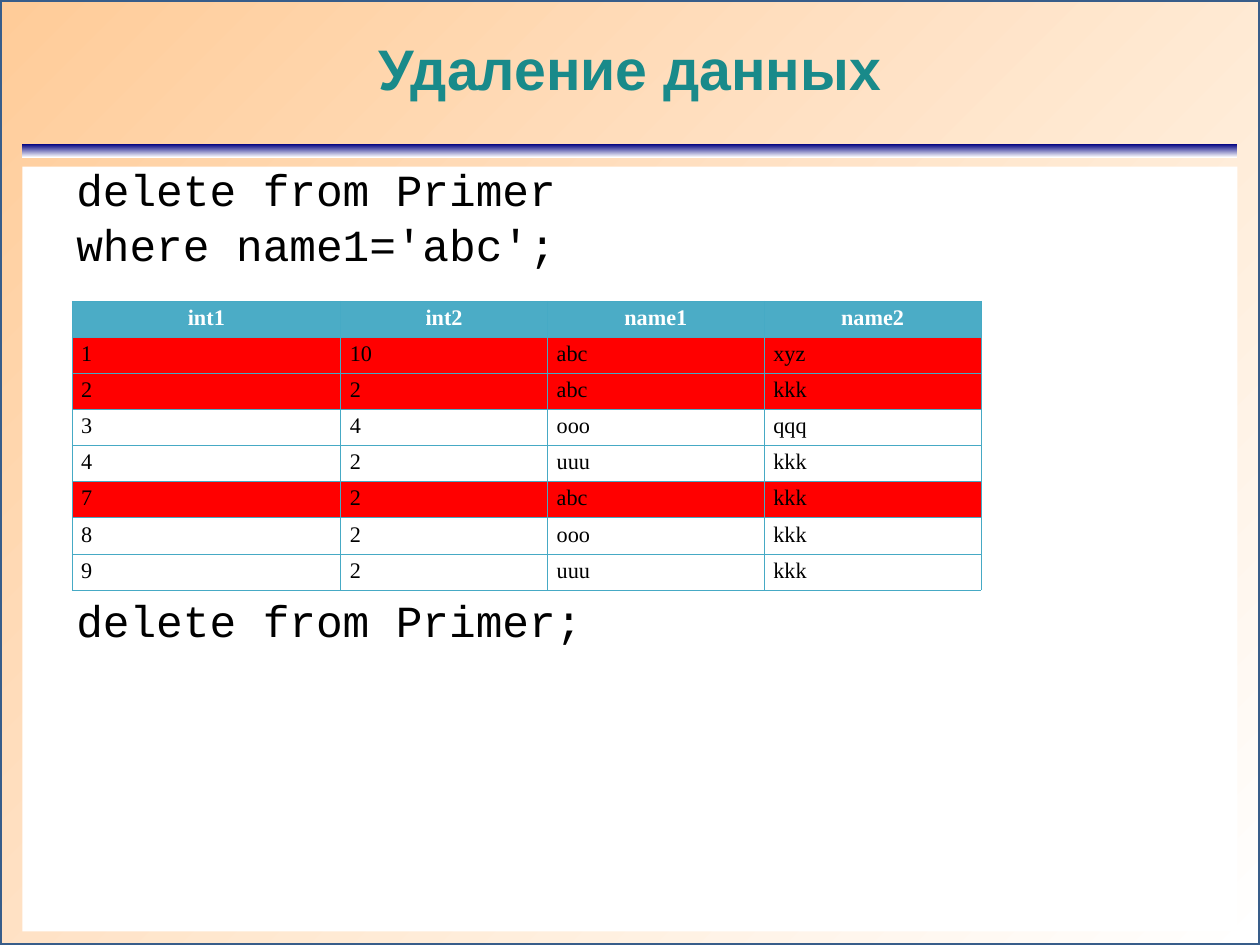
from dataclasses import dataclass

from lxml import etree
from pptx import Presentation
from pptx.dml.color import RGBColor
from pptx.enum.shapes import MSO_SHAPE
from pptx.enum.text import MSO_ANCHOR, PP_ALIGN
from pptx.oxml.ns import qn
from pptx.util import Emu, Inches, Pt

RECTANGLE = MSO_SHAPE.RECTANGLE
TOP, MIDDLE = MSO_ANCHOR.TOP, MSO_ANCHOR.MIDDLE
LEFT, CENTER, JUSTIFY = PP_ALIGN.LEFT, PP_ALIGN.CENTER, PP_ALIGN.JUSTIFY

SLIDE_WIDTH, SLIDE_HEIGHT = Emu(10080625), Emu(7559675)
CODE_INDENT = 4.28
COLUMN_SHARES = (21.32, 16.42, 17.2, 17.2)
HEADER_FILL, DELETED_FILL, KEPT_FILL = "4BACC6", "FF0000", "FFFFFF"
GRID_COLOR, GRID_WIDTH = "46AAC5", Pt(0.34)

HEADINGS = ("int1", "int2", "name1", "name2")
RECORDS = (
    ("1", "10", "abc", "xyz"),
    ("2", "2", "abc", "kkk"),
    ("3", "4", "ooo", "qqq"),
    ("4", "2", "uuu", "kkk"),
    ("7", "2", "abc", "kkk"),
    ("8", "2", "ooo", "kkk"),
    ("9", "2", "uuu", "kkk"),
)


@dataclass(frozen=True)
class Area:
    left: float
    top: float
    width: float
    height: float

    def emu(self) -> tuple[Emu, Emu, Emu, Emu]:
        return across(self.left), down(self.top), across(self.width), down(self.height)


@dataclass(frozen=True)
class Panel:
    area: Area
    colors: tuple[str, ...]
    angle: int = 0
    outline: str | None = None


@dataclass(frozen=True)
class CodeLine:
    text: str
    space_before: float = 0


TITLE_AREA = Area(1.79, 2.38, 96.43, 9.52)
TABLE_AREA = Area(5.72, 31.87, sum(COLUMN_SHARES), 30.59)
BACKDROP = Panel(Area(0, 0, 100, 100), ("FFFFFF", "FFCC99"), 135, "385D8A")
RULE = Panel(Area(1.79, 15.24, 96.43, 1.43), ("000080", "FFFFFF"), 270)
BODY = Panel(Area(1.79, 17.62, 96.43, 80.95), ("FFFFFF",))
CODE = (
    CodeLine("delete from Primer"),
    CodeLine("where name1='abc';", 3.5),
    CodeLine("delete from Primer;", 205.5),
)


def across(percent: float) -> Emu:
    return Emu(round(SLIDE_WIDTH * percent / 100))


def down(percent: float) -> Emu:
    return Emu(round(SLIDE_HEIGHT * percent / 100))


def rgb(color: str) -> RGBColor:
    return RGBColor.from_string(color)


def write(paragraph, text: str, *, font: str, size: float, color: str = "000000",
          bold: bool = False, align=LEFT, space_before: float = 0,
          line_spacing: float = 1.0) -> None:
    paragraph.alignment = align
    paragraph.space_before = Pt(space_before)
    paragraph.line_spacing = line_spacing
    run = paragraph.add_run()
    run.text = text
    run.font.name = font
    run.font.size = Pt(size)
    run.font.bold = bold
    run.font.color.rgb = rgb(color)


def set_frame(frame, anchor, left: Emu = Emu(0)) -> None:
    frame.word_wrap = True
    frame.vertical_anchor = anchor
    frame.margin_left = left
    frame.margin_top = frame.margin_right = frame.margin_bottom = 0


def draw_panel(slide, panel: Panel):
    shape = slide.shapes.add_shape(RECTANGLE, *panel.area.emu())
    shape.shadow.inherit = False
    if len(panel.colors) > 1:
        shape.fill.gradient()
        shape.fill.gradient_angle = panel.angle
        for position, (stop, color) in enumerate(zip(shape.fill.gradient_stops, panel.colors)):
            stop.color.rgb = rgb(color)
            stop.position = position
    else:
        shape.fill.solid()
        shape.fill.fore_color.rgb = rgb(panel.colors[0])
    if panel.outline:
        shape.line.color.rgb = rgb(panel.outline)
        shape.line.width = Pt(2)
    else:
        shape.line.fill.background()
    return shape


def draw_title(slide) -> None:
    title = slide.shapes.add_textbox(*TITLE_AREA.emu())
    set_frame(title.text_frame, MIDDLE)
    write(title.text_frame.paragraphs[0], "Удаление данных", font="Arial", size=36,
          color="198A8A", bold=True, align=CENTER)


def draw_code(slide) -> None:
    frame = draw_panel(slide, BODY).text_frame
    set_frame(frame, TOP, across(CODE_INDENT))
    for index, line in enumerate(CODE):
        paragraph = frame.add_paragraph() if index else frame.paragraphs[0]
        write(paragraph, line.text, font="Courier New", size=28,
              space_before=line.space_before, line_spacing=0.93)


def add_borders(cell) -> None:
    properties = cell._tc.get_or_add_tcPr()
    for side in ("a:lnL", "a:lnR", "a:lnT", "a:lnB"):
        border = etree.SubElement(properties, qn(side), w=str(GRID_WIDTH))
        fill = etree.SubElement(border, qn("a:solidFill"))
        etree.SubElement(fill, qn("a:srgbClr"), val=GRID_COLOR)


def fill_cell(cell, text: str, fill: str, **text_format) -> None:
    cell.margin_left = cell.margin_right = Inches(0.08)
    cell.margin_top = cell.margin_bottom = Inches(0.04)
    add_borders(cell)
    cell.fill.solid()
    cell.fill.fore_color.rgb = rgb(fill)
    write(cell.text_frame.paragraphs[0], text, font="Times New Roman", size=14, **text_format)


def draw_table(slide) -> None:
    table = slide.shapes.add_table(len(RECORDS) + 1, len(HEADINGS), *TABLE_AREA.emu()).table
    for column, share in zip(table.columns, COLUMN_SHARES):
        column.width = across(share)
    for index, heading in enumerate(HEADINGS):
        fill_cell(table.cell(0, index), heading, HEADER_FILL,
                  color="FFFFFF", bold=True, align=CENTER)
    for row, record in enumerate(RECORDS, start=1):
        fill = DELETED_FILL if record[2] == "abc" else KEPT_FILL
        for index, value in enumerate(record):
            align = JUSTIFY if HEADINGS[index] == "name2" else LEFT
            fill_cell(table.cell(row, index), value, fill, align=align)


def main() -> None:
    presentation = Presentation()
    presentation.slide_width, presentation.slide_height = SLIDE_WIDTH, SLIDE_HEIGHT
    slide = presentation.slides.add_slide(presentation.slide_layouts[6])
    draw_panel(slide, BACKDROP)
    draw_panel(slide, RULE)
    draw_title(slide)
    draw_code(slide)
    draw_table(slide)
    presentation.save("out.pptx")


if __name__ == "__main__":
    main()
